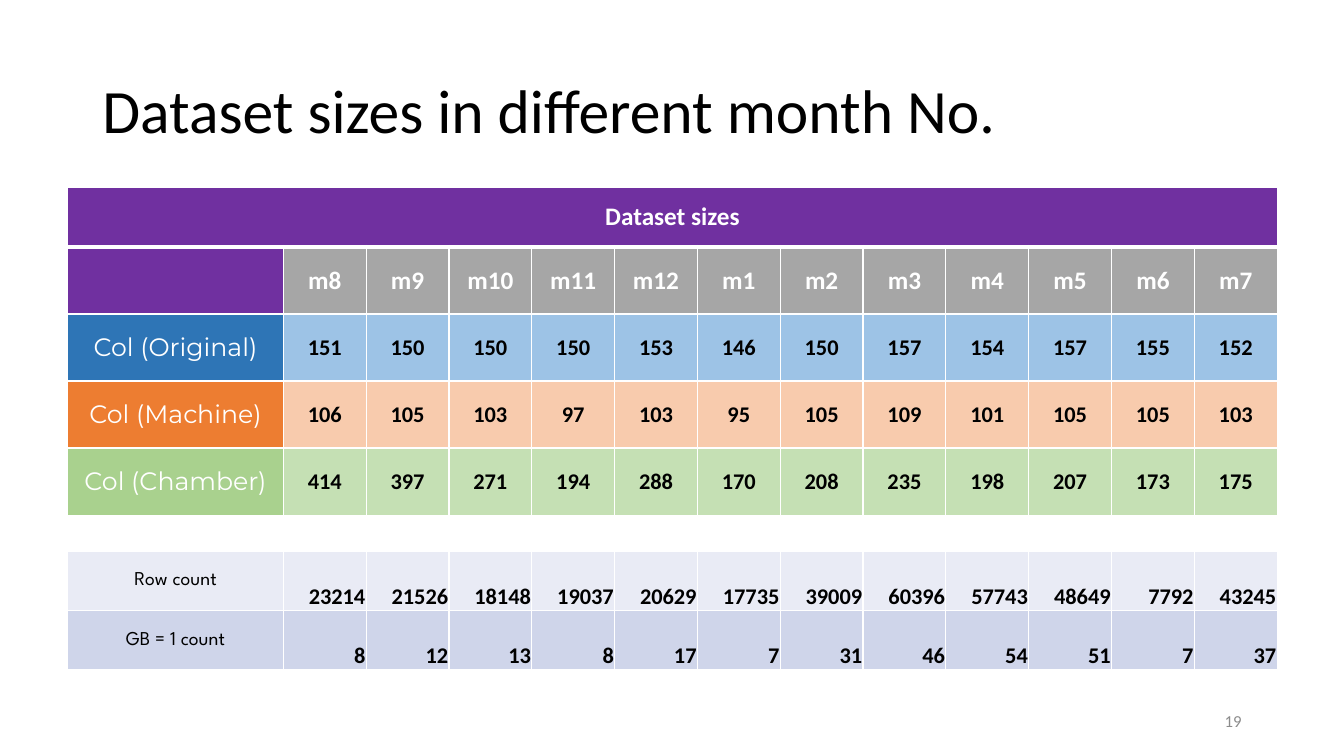
from dataclasses import dataclass

from lxml.etree import SubElement
from pptx import Presentation
from pptx.dml.color import RGBColor
from pptx.enum.text import MSO_ANCHOR, PP_ALIGN
from pptx.oxml.ns import qn
from pptx.util import Cm, Pt


@dataclass(frozen=True)
class Style:
    size: int
    color: str = "000000"
    name: str = "Calibri"
    bold: bool = False
    align: PP_ALIGN = PP_ALIGN.CENTER
    anchor: MSO_ANCHOR = MSO_ANCHOR.MIDDLE
    tight: bool = False


@dataclass(frozen=True)
class Row:
    height: float
    label: str
    label_fill: str
    label_style: Style
    values: str = ""
    value_fill: str = ""
    value_style: Style | None = None


HEADING = Style(18, "FFFFFF", bold=True)
MONTH = Style(18, "FFFFFF", bold=True, tight=True)
COL_LABEL = Style(18, "FFFFFF", "Montserrat")
COL_VALUE = Style(16, bold=True, tight=True)
COUNT_LABEL = Style(14, name="League Spartan")
COUNT_VALUE = Style(16, bold=True, align=PP_ALIGN.RIGHT,
                    anchor=MSO_ANCHOR.BOTTOM, tight=True)
SPACER = Style(8, tight=True)
TITLE = Style(44, align=PP_ALIGN.LEFT)
PAGE = Style(12, "8C8C8C", align=PP_ALIGN.RIGHT)

ROWS = [
    Row(1.49, "Dataset sizes", "7030A0", HEADING),
    Row(1.69, "", "7030A0", HEADING,
        "m8 m9 m10 m11 m12 m1 m2 m3 m4 m5 m6 m7", "A6A6A6", MONTH),
    Row(1.69, "Col (Original)", "2E75B6", COL_LABEL,
        "151 150 150 150 153 146 150 157 154 157 155 152", "9DC3E6", COL_VALUE),
    Row(1.69, "Col (Machine)", "ED7D31", COL_LABEL,
        "106 105 103 97 103 95 105 109 101 105 105 103", "F8CBAD", COL_VALUE),
    Row(1.69, "Col (Chamber)", "A9D18E", COL_LABEL,
        "414 397 271 194 288 170 208 235 198 207 173 175", "C5E0B4", COL_VALUE),
    Row(0.92, "", "FFFFFF", SPACER),
    Row(1.49, "Row count", "E9EBF5", COUNT_LABEL,
        "23214 21526 18148 19037 20629 17735 39009 60396 57743 48649 7792 43245",
        "E9EBF5", COUNT_VALUE),
    Row(1.49, "GB = 1 count", "CFD5EA", COUNT_LABEL,
        "8 12 13 8 17 7 31 46 54 51 7 37", "CFD5EA", COUNT_VALUE),
]
MONTHS = 12
TABLE_WIDTH, LABEL_WIDTH = 30.48, 5.43


def rgb(color: str) -> RGBColor:
    return RGBColor.from_string(color)


def write(tf, text: str, style: Style) -> None:
    p = tf.paragraphs[0]
    p.text = text
    p.alignment = style.align
    p.font.size = Pt(style.size)
    p.font.name = style.name
    p.font.bold = style.bold
    p.font.color.rgb = rgb(style.color)


def set_borders(cell, bottom: float) -> None:
    tcPr = cell._tc.get_or_add_tcPr()
    for i, (side, width) in enumerate(zip("LRTB", (1, 1, 1, bottom))):
        ln = SubElement(tcPr, qn(f"a:ln{side}"), w=str(Pt(width)))
        fill = SubElement(ln, qn("a:solidFill"))
        SubElement(fill, qn("a:srgbClr"), val="FFFFFF")
        tcPr.insert(i, ln)


def fill_cell(cell, text: str, fill: str, style: Style, bottom: float) -> None:
    cell.fill.solid()
    cell.fill.fore_color.rgb = rgb(fill)
    cell.vertical_anchor = style.anchor
    if style.tight:
        cell.margin_left = cell.margin_right = cell.margin_top = Cm(0.02)
        cell.margin_bottom = 0
    write(cell.text_frame, text, style)
    set_borders(cell, bottom)


def add_text(s, left: float, top: float, width: float, height: float,
             text: str, style: Style):
    tf = s.shapes.add_textbox(Cm(left), Cm(top), Cm(width), Cm(height)).text_frame
    tf.word_wrap = True
    tf.vertical_anchor = style.anchor
    write(tf, text, style)
    return tf


def add_sizes_table(s) -> None:
    height = sum(row.height for row in ROWS)
    table = s.shapes.add_table(len(ROWS), MONTHS + 1, Cm(1.71), Cm(4.73),
                               Cm(TABLE_WIDTH), Cm(height)).table
    table.first_row = table.horz_banding = False
    for i, column in enumerate(table.columns):
        column.width = Cm((TABLE_WIDTH - LABEL_WIDTH) / MONTHS if i else LABEL_WIDTH)
    for i, row in enumerate(ROWS):
        table.rows[i].height = Cm(row.height)
        bottom = 1 if i else 3
        fill_cell(table.cell(i, 0), row.label, row.label_fill, row.label_style, bottom)
        if not row.values:
            for j in range(1, MONTHS + 1):
                fill_cell(table.cell(i, j), "", row.label_fill, row.label_style, bottom)
            table.cell(i, 0).merge(table.cell(i, MONTHS))
        for j, value in enumerate(row.values.split(), 1):
            fill_cell(table.cell(i, j), value, row.value_fill, row.value_style, bottom)


prs = Presentation()
prs.slide_width, prs.slide_height = Cm(33.87), Cm(19.05)
s = prs.slides.add_slide(prs.slide_layouts[6])
add_sizes_table(s)
add_text(s, 23.92, 17.66, 7.62, 1.01, "19", PAGE)
title = add_text(s, 2.33, 1.01, 29.21, 3.68, "Dataset sizes in different month No.", TITLE)
title.paragraphs[0].line_spacing = 0.9
prs.save("out.pptx")
